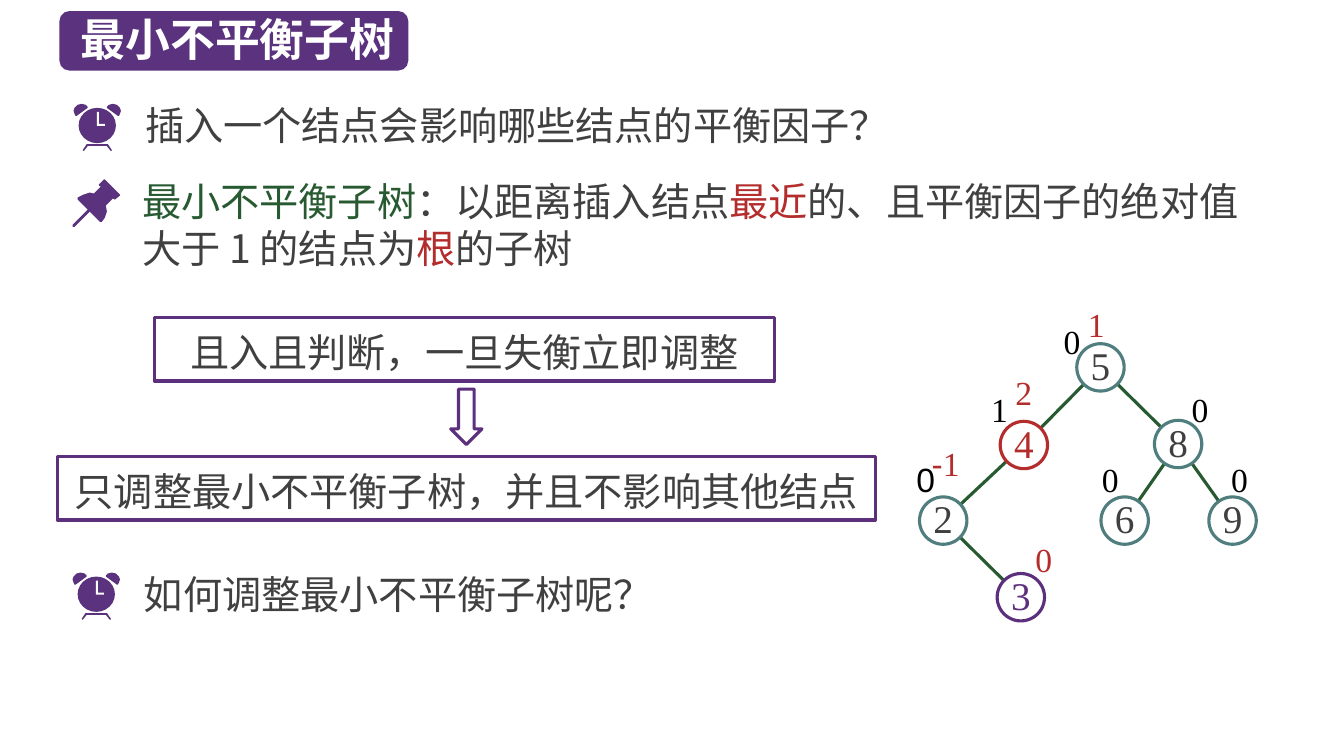
import math
from dataclasses import dataclass

import lxml.etree
import pptx
import pptx.dml.color
import pptx.enum.dml
import pptx.enum.lang
import pptx.enum.shapes
import pptx.enum.text
import pptx.oxml.ns
import pptx.util

Inches = pptx.util.Inches
Pt = pptx.util.Pt
SHAPE = pptx.enum.shapes.MSO_SHAPE
ALIGN = pptx.enum.text.PP_ALIGN
ANCHOR = pptx.enum.text.MSO_ANCHOR
GROW = pptx.enum.text.MSO_AUTO_SIZE.SHAPE_TO_FIT_TEXT


@dataclass(frozen=True)
class Theme:
    purple: str = "5A327D"
    outline: str = "5C307D"
    green: str = "285A32"
    red: str = "B42D2D"
    teal: str = "507D7D"
    text: str = "404040"
    black: str = "000000"
    white: str = "FFFFFF"
    chinese: str = "Noto Sans CJK SC"
    number: str = "Times New Roman"
    sans: str = "Arial"
    title: int = 32
    body: int = 28
    label: int = 24
    line: float = 2.25


T = Theme()
NODE = 0.47  # diameter of a tree node

# Tree nodes: value -> left, top, line colour, text colour
NODES = {
    "5": (10.68, 3.41, T.teal, T.text),
    "4": (9.92, 4.18, T.red, T.red),
    "8": (11.45, 4.17, T.teal, T.text),
    "2": (9.12, 4.93, T.teal, T.text),
    "6": (10.92, 4.93, T.teal, T.text),
    "9": (11.99, 4.93, T.teal, T.text),
    "3": (9.89, 5.69, T.outline, T.outline),
}
EDGES = ["54", "58", "42", "86", "89", "23"]

# Balance factors: left, top, value, colour, font
FACTORS = [
    (9.09, 4.55, "0", T.black, T.sans),
    (9.83, 3.86, "1", T.black, T.number),
    (10.55, 3.18, "0", T.black, T.number),
    (11.82, 3.86, "0", T.black, T.number),
    (10.93, 4.55, "0", T.black, T.number),
    (12.21, 4.55, "0", T.black, T.number),
    (10.07, 3.69, "2", T.red, T.number),
    (10.79, 3.02, "1", T.red, T.number),
    (10.27, 5.35, "0", T.red, T.number),
]

# Icon outlines, measured from the icon's top left corner
ICON = 0.47
BELL = [(0.08, 0), (0.04, 0.01), (0.01, 0.04), (0, 0.07), (0.01, 0.1),
        (0.02, 0.12), (0.03, 0.12), (0.14, 0.04), (0.14, 0.03), (0.12, 0.01)]
FOOT = [(0.13, 0.4), (0.09, 0.46), (0.1, 0.47), (0.14, 0.42)]
HANDS = [(0.23, 0.08), (0.25, 0.08), (0.25, 0.2), (0.31, 0.2), (0.31, 0.22), (0.23, 0.22)]
PIN = [(0.47, 0.15), (0.32, 0), (0.31, 0), (0.26, 0.05), (0.26, 0.06), (0.28, 0.07),
       (0.21, 0.14), (0.17, 0.13), (0.11, 0.15), (0.05, 0.18), (0.05, 0.2),
       (0.27, 0.42), (0.29, 0.42), (0.32, 0.38), (0.34, 0.32), (0.33, 0.26),
       (0.4, 0.19), (0.42, 0.2), (0.47, 0.16)]
NEEDLE = [(0.02, 0.47), (0, 0.47), (0, 0.45), (0.16, 0.29), (0.18, 0.28),
          (0.19, 0.3), (0.18, 0.31)]


def rgb(color):
    return pptx.dml.color.RGBColor.from_string(color)


def add_run(p, text, size, color, font=T.chinese, bold=False):
    r = p.add_run()
    r.text = text
    r.font.size, r.font.bold, r.font.name = Pt(size), bold, font
    r.font.color.rgb = rgb(color)
    r.font.language_id = pptx.enum.lang.MSO_LANGUAGE_ID.SIMPLIFIED_CHINESE
    ea = lxml.etree.SubElement(r._r.get_or_add_rPr(), pptx.oxml.ns.qn("a:ea"))
    ea.set("typeface", font)


def paint(sp, fill=None, line=None):
    sp.shadow.inherit = False
    if fill:
        sp.fill.solid()
        sp.fill.fore_color.rgb = rgb(fill)
    else:
        sp.fill.background()
    if line:
        sp.line.color.rgb = rgb(line)
        sp.line.width = Pt(T.line)
    else:
        sp.line.fill.background()


def add_preset(slide, kind, box, fill=None, line=None):
    sp = slide.shapes.add_shape(kind, *map(Inches, box))
    paint(sp, fill, line)
    return sp


def add_outline(slide, x, y, points, fill):
    pts = [(Inches(x + dx), Inches(y + dy)) for dx, dy in points]
    builder = slide.shapes.build_freeform(*pts[0], scale=1.0)
    builder.add_line_segments(pts[1:], close=True)
    paint(builder.convert_to_shape(), fill)


def fill_placeholder(sp, box, runs, size, bold=False):
    sp.left, sp.top, sp.width, sp.height = map(Inches, box)
    tf = sp.text_frame
    tf.word_wrap, tf.auto_size, tf.vertical_anchor = True, GROW, ANCHOR.TOP
    p = tf.paragraphs[0]
    pPr = p._p.get_or_add_pPr()
    pPr.set("marL", "0")
    pPr.set("indent", "0")
    lxml.etree.SubElement(pPr, pptx.oxml.ns.qn("a:buNone"))
    p.alignment, p.space_before = ALIGN.LEFT, Pt(0)
    for text, color in runs:
        add_run(p, text, size, color, bold=bold)


def add_text(slide, box, runs, size, inset=0.0):
    tf = slide.shapes.add_textbox(*map(Inches, box)).text_frame
    tf.word_wrap, tf.auto_size = True, GROW
    if not inset:
        tf.margin_left = tf.margin_right = tf.margin_top = tf.margin_bottom = 0
    for text, color, font in runs:
        add_run(tf.paragraphs[0], text, size, color, font)


def center_text(sp, text, color, font, spacing, wrap, anchor):
    tf = sp.text_frame
    tf.word_wrap, tf.vertical_anchor = wrap, anchor
    p = tf.paragraphs[0]
    p.alignment, p.line_spacing = ALIGN.CENTER, Pt(spacing)
    add_run(p, text, T.body, color, font)


def add_clock(slide, x, y):
    for side in (BELL, FOOT):
        add_outline(slide, x, y, side, T.purple)
        add_outline(slide, x, y, [(ICON - dx, dy) for dx, dy in side], T.purple)
    add_outline(slide, x, y, [(0.13, 0.4), (0.34, 0.4), (0.34, 0.42), (0.13, 0.42)], T.purple)
    add_preset(slide, SHAPE.OVAL, (x + 0.05, y + 0.04, 0.37, 0.35), T.purple)
    add_outline(slide, x, y, HANDS, T.white)


def add_question(slide, x, y, width, text):
    add_clock(slide, x, y)
    add_text(slide, (x + 0.61, y - 0.07, width, 0.57),
             [(text, T.text, T.chinese)], T.body, inset=0.1)


def add_step(slide, box, text):
    sp = add_preset(slide, SHAPE.RECTANGLE, box, line=T.outline)
    center_text(sp, text, T.text, T.chinese, 38, True, ANCHOR.TOP)


def add_edge(slide, parent, child):
    (x1, y1), (x2, y2) = [[v + NODE / 2 for v in NODES[n][:2]] for n in (parent, child)]
    length = math.hypot(x2 - x1, y2 - y1)
    dx, dy = [d / length * NODE / 2 for d in (x2 - x1, y2 - y1)]
    line = slide.shapes.add_connector(
        pptx.enum.shapes.MSO_CONNECTOR.STRAIGHT,
        *map(Inches, (x1 + dx, y1 + dy, x2 - dx, y2 - dy)))
    line.line.color.rgb, line.line.width = rgb(T.green), Pt(T.line)
    lxml.etree.SubElement(line._element.spPr, pptx.oxml.ns.qn("a:effectLst"))


def add_tree(slide):
    for parent, child in EDGES:
        add_edge(slide, parent, child)
    for value, (x, y, line, color) in NODES.items():
        sp = add_preset(slide, SHAPE.OVAL, (x, y, NODE, NODE), line=line)
        center_text(sp, value, color, T.number, 30, False, ANCHOR.MIDDLE)
    for x, y, value, color, font in FACTORS:
        add_text(slide, (x, y, 0.24, 0.4), [(value, color, font)], T.label)
    add_text(slide, (9.24, 4.39, 0.42, 0.4),
             [("-", T.red, T.sans), ("1", T.red, T.number)], T.label)


def main():
    prs = pptx.Presentation()
    prs.slide_width, prs.slide_height = Inches(13.33), Inches(7.5)
    slide = prs.slides.add_slide(prs.slide_layouts[1])
    title, body = slide.placeholders

    # Title on its badge
    badge = add_preset(slide, SHAPE.ROUNDED_RECTANGLE, (0.59, 0.11, 3.46, 0.59), T.purple)
    title._element.addprevious(badge._element)
    fill_placeholder(title, (0.7, 0.07, 3.4, 0.64),
                     [("最小不平衡子树", T.white)], T.title, bold=True)

    # Definition
    fill_placeholder(body, (1.31, 1.71, 11.09, 1.04), [
        ("最小不平衡子树", T.green), ("：以距离插入结点", T.text), ("最近", T.red),
        ("的、且平衡因子的绝对值大于 1 的结点为", T.text), ("根", T.red),
        ("的子树", T.text)], T.body)
    for part in (PIN, NEEDLE):
        add_outline(slide, 0.72, 1.78, part, T.purple)

    # Questions
    add_question(slide, 0.73, 1.03, 7.86, "插入一个结点会影响哪些结点的平衡因子？")
    add_question(slide, 0.72, 5.68, 5.7, "如何调整最小不平衡子树呢？")

    # Steps
    add_step(slide, (1.53, 3.15, 6.15, 0.63), "且入且判断，一旦失衡立即调整")
    add_step(slide, (0.57, 4.53, 8.11, 0.63), "只调整最小不平衡子树，并且不影响其他结点")
    arrow = add_preset(slide, SHAPE.RIGHT_ARROW, (4.35, 3.98, 0.55, 0.31), line=T.outline)
    arrow.rotation = 90

    add_tree(slide)
    prs.save("out.pptx")


if __name__ == "__main__":
    main()
